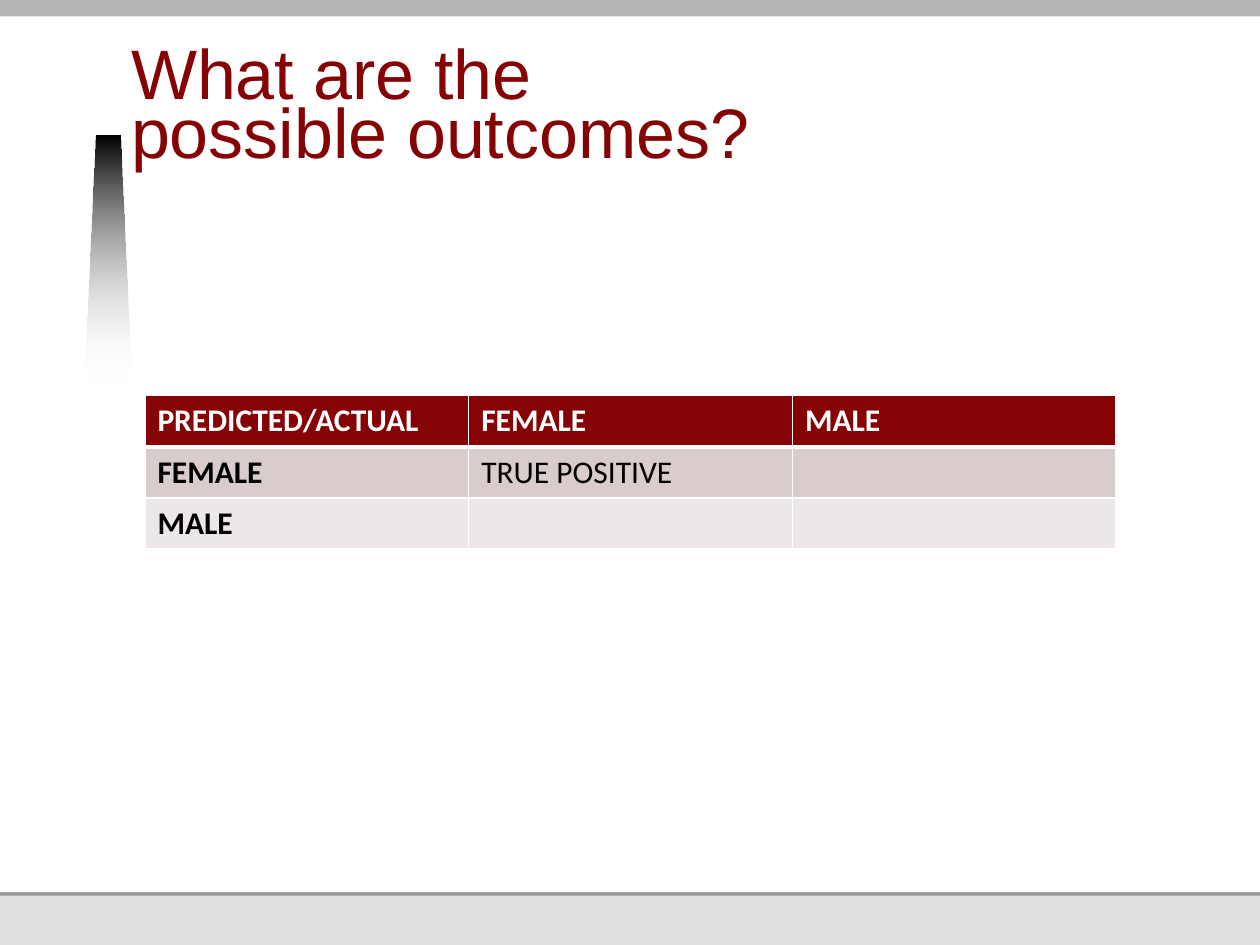
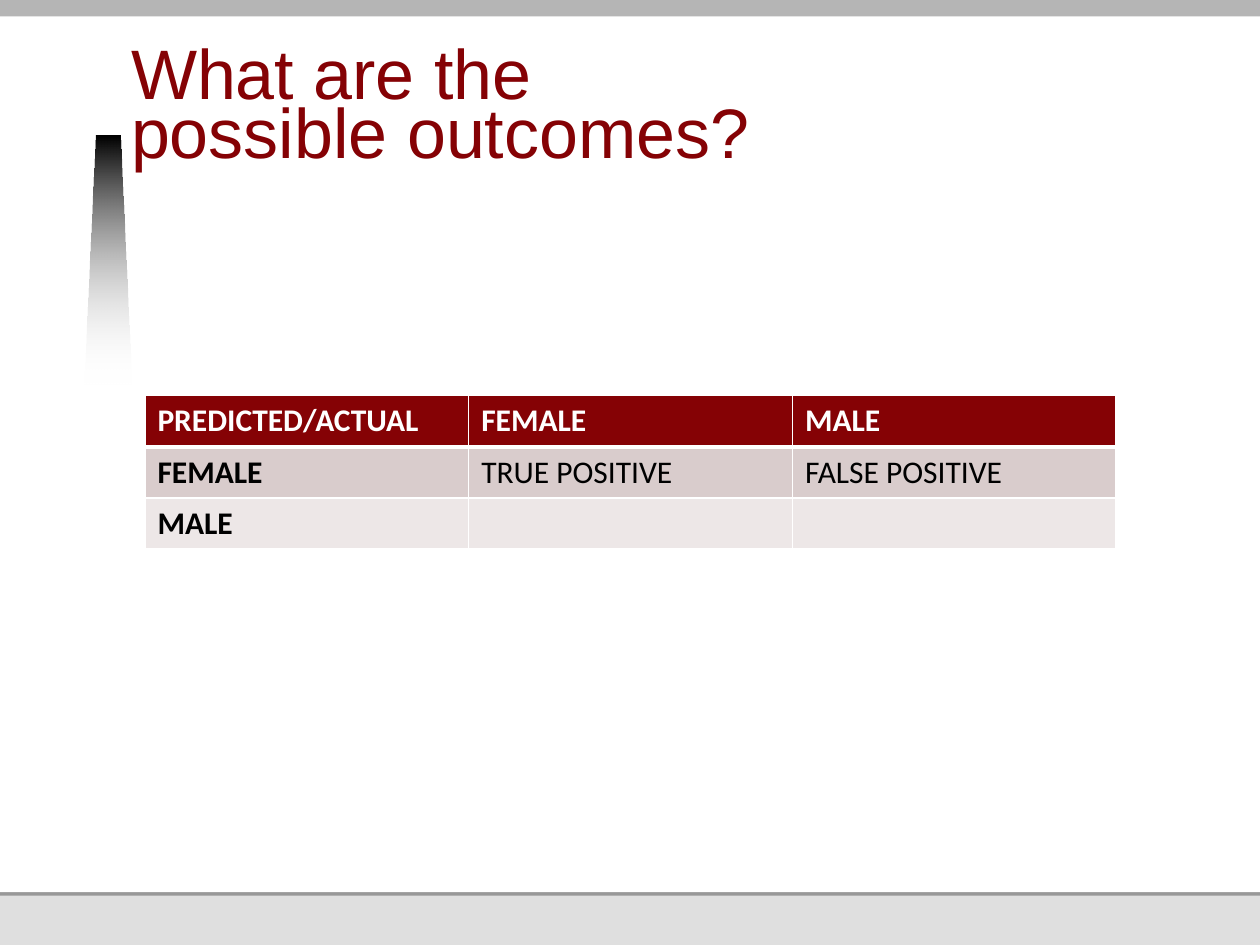
from lxml import etree
from pptx import Presentation
from pptx import util as u
from pptx.dml.color import RGBColor
from pptx.enum import shapes, text
from pptx.oxml import ns

MAROON = RGBColor(0x85, 0x02, 0x05)
BLACK = RGBColor(0, 0, 0)
WHITE = RGBColor(0xFF, 0xFF, 0xFF)
FOOTER_GREY = RGBColor(0xDF, 0xDF, 0xDF)
RULE_GREY = RGBColor(0x98, 0x98, 0x98)
TOP_GREY = RGBColor(0xB5, 0xB5, 0xB5)
ROW_FILLS = [MAROON, RGBColor(0xD9, 0xCC, 0xCC), RGBColor(0xED, 0xE7, 0xE7)]

# Left, top, width, height in inches
BANDS = [
    ((0, 0, 10, 7.5), FOOTER_GREY),
    ((0, 1.78, 10, 5.33), RULE_GREY),
    ((0, 0, 10, 7.08), WHITE),
    ((0, 0, 10, 0.13), TOP_GREY),
]
BEAM_BOX = (0.67, 1.08, 0.37, 1.97)
TITLE_BOX = (1.04, 0.34, 6.87, 1.08)
TABLE_BOX = (1.15, 3.14, 7.71, 1.22)

TITLE = "What are the\vpossible outcomes?"
HEADER = ["PREDICTED/ACTUAL", "FEMALE", "MALE"]
OUTCOMES = [
    [["TRUE POSITIVE", ""], ["", ""]],
    [["TRUE POSITIVE", "FALSE POSITIVE"], ["", ""]],
]


def inches(box):
    return [u.Inches(length) for length in box]


def add_band(page, box, colour):
    band = page.shapes.add_shape(shapes.MSO_SHAPE.RECTANGLE, *inches(box))
    band.shadow.inherit = False
    band.fill.solid()
    band.fill.fore_color.rgb = colour
    band.line.fill.background()
    return band


def add_beam(page, box):
    """Tapered beam that fades out downwards."""
    left, top, width, height = inches(box)
    right, bottom = left + width, top + height
    inset = u.Inches(0.09)
    builder = page.shapes.build_freeform(left, bottom)
    builder.add_line_segments([(left + inset, top), (right - inset, top), (right, bottom)])
    beam = builder.convert_to_shape()
    beam.shadow.inherit = False
    beam.line.fill.background()
    beam.fill.gradient()
    beam.fill.gradient_angle = 270
    for stop, colour in zip(beam.fill.gradient_stops, (BLACK, WHITE)):
        stop.color.rgb = colour
    last_colour = beam.element.findall(".//" + ns.qn("a:srgbClr"))[-1]
    etree.SubElement(last_colour, ns.qn("a:alpha"), val="0")
    return beam


def move_to_layout(layout, parts):
    """Put the shared decoration behind the layout's title."""
    for holder in list(layout.placeholders):
        if holder.placeholder_format.type != shapes.PP_PLACEHOLDER.TITLE:
            holder.element.getparent().remove(holder.element)
    title = layout.placeholders[0].element
    for part in parts:
        title.addprevious(part.element)


def add_title(page, box):
    title = page.shapes.title
    title.left, title.top, title.width, title.height = inches(box)
    frame = title.text_frame
    frame.text = TITLE
    frame.word_wrap = True
    frame.auto_size = text.MSO_AUTO_SIZE.NONE
    frame.vertical_anchor = text.MSO_ANCHOR.BOTTOM
    frame.margin_left = frame.margin_top = frame.margin_right = 0
    frame.margin_bottom = u.Inches(0.05)
    para = frame.paragraphs[0]
    para.alignment = text.PP_ALIGN.LEFT
    para.line_spacing = u.Pt(34)
    for span in para.runs:
        span.font.name = "Arial"
        span.font.size = u.Pt(40)
        span.font.color.rgb = MAROON


def add_borders(cell, widths):
    properties = cell._tc.get_or_add_tcPr()
    for side, width in zip("LRTB", widths):
        line = etree.SubElement(properties, ns.qn("a:ln" + side), w=str(u.Pt(width)))
        fill = etree.SubElement(line, ns.qn("a:solidFill"))
        etree.SubElement(fill, ns.qn("a:srgbClr"), val=str(WHITE))


def add_outcome_table(page, box, outcomes):
    rows = [HEADER] + [[label] + cells for label, cells in zip(HEADER[1:], outcomes)]
    table = page.shapes.add_table(len(rows), len(HEADER), *inches(box)).table
    for r, row in enumerate(rows):
        for c, wording in enumerate(row):
            cell = table.cell(r, c)
            # Thick rule between the header and the body
            add_borders(cell, (1, 1, 3 if r == 1 else 1, 3 if r == 0 else 1))
            cell.fill.solid()
            cell.fill.fore_color.rgb = ROW_FILLS[r]
            para = cell.text_frame.paragraphs[0]
            para.text = wording
            for span in para.runs:
                span.font.name = "Calibri"
                span.font.size = u.Pt(18)
                span.font.bold = r == 0 or c == 0
                span.font.color.rgb = WHITE if r == 0 else BLACK


def main():
    deck = Presentation()
    deck.slide_width, deck.slide_height = u.Inches(10), u.Inches(7.5)
    layout = deck.slide_layouts[5]
    pages = [deck.slides.add_slide(layout) for _ in OUTCOMES]

    # Shared decoration
    parts = [add_band(pages[0], box, colour) for box, colour in BANDS]
    parts.append(add_beam(pages[0], BEAM_BOX))
    move_to_layout(layout, parts)

    # Slides
    for page, outcomes in zip(pages, OUTCOMES):
        add_title(page, TITLE_BOX)
        add_outcome_table(page, TABLE_BOX, outcomes)

    deck.save("out.pptx")


if __name__ == "__main__":
    main()
